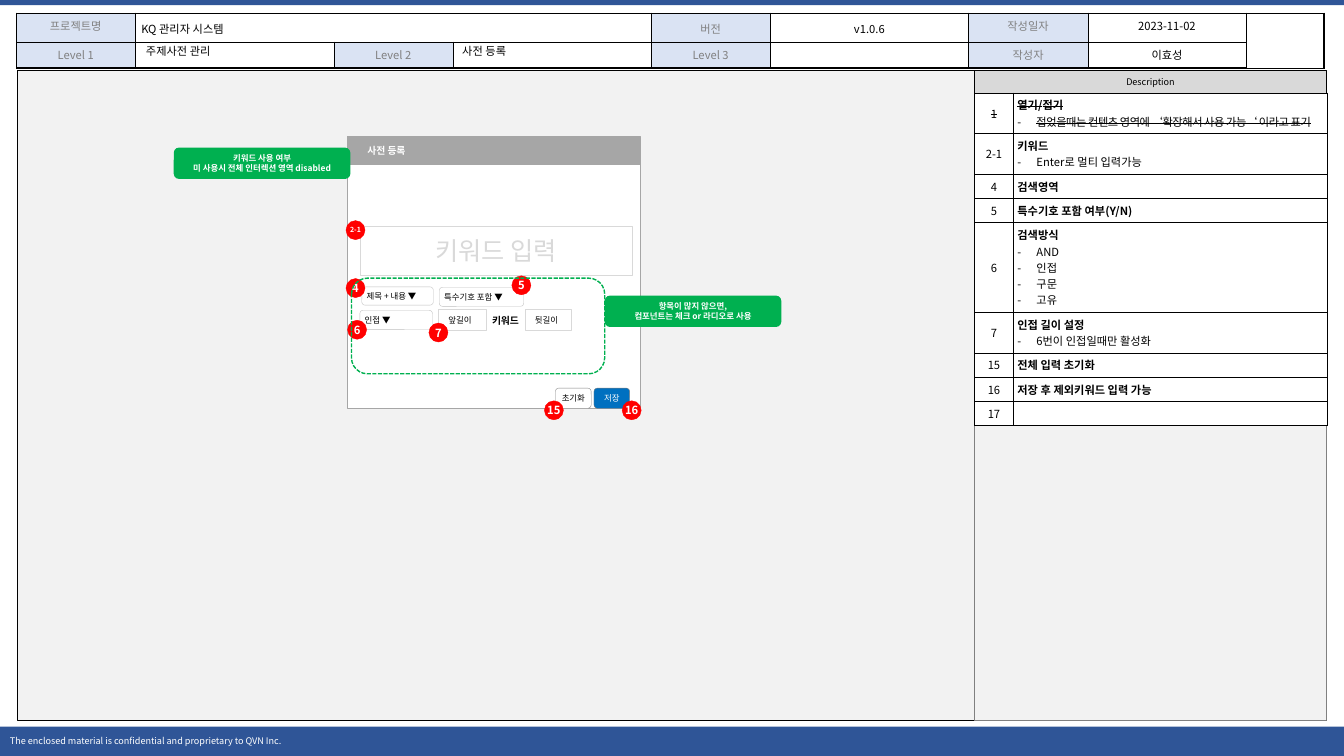
from lxml import etree
from pptx import Presentation
from pptx import util as u
from pptx.dml.color import RGBColor
from pptx.enum import dml, shapes, text
from pptx.oxml.ns import qn

FONT = "Noto Sans CJK KR"
LEFT, CENTER = text.PP_ALIGN.LEFT, text.PP_ALIGN.CENTER
TOP, MIDDLE = text.MSO_ANCHOR.TOP, text.MSO_ANCHOR.MIDDLE
RECT, ROUND, OVAL = (shapes.MSO_SHAPE.RECTANGLE, shapes.MSO_SHAPE.ROUNDED_RECTANGLE,
                     shapes.MSO_SHAPE.OVAL)
color = RGBColor.from_string

presentation = Presentation()
presentation.slide_width, presentation.slide_height = u.Cm(33.87), u.Cm(19.05)
slide = presentation.slides.add_slide(presentation.slide_layouts[6])


def write(holder, lines, size=8, ink="000000", bold=False, align=LEFT,
          anchor=MIDDLE, side=0.0, edge=0.0):
    """Fill a table cell or text frame; side and edge are its insets in cm."""
    settings = {"vertical_anchor": anchor, "word_wrap": True,
                "margin_left": u.Cm(side), "margin_right": u.Cm(side),
                "margin_top": u.Cm(edge), "margin_bottom": u.Cm(edge)}
    frame = getattr(holder, "text_frame", holder)
    for name, value in settings.items():
        if hasattr(holder, name):
            setattr(holder, name, value)
    frame.text = "\n".join(lines)
    for paragraph in frame.paragraphs:
        paragraph.alignment = align
        for run in paragraph.runs:
            for name, value in {"name": FONT, "size": u.Pt(size), "bold": bold}.items():
                setattr(run.font, name, value)
            run.font.color.rgb = color(ink)
        if not paragraph.runs:
            etree.SubElement(paragraph._p, qn("a:endParaRPr"), sz=str(size * 100))


def add_block(kind, box, fill=None, line=None, lines=(), **style):
    shape = slide.shapes.add_shape(kind, *map(u.Cm, box))
    shape.shadow.inherit = False
    if fill:
        shape.fill.solid()
        shape.fill.fore_color.rgb = color(fill)
    else:
        shape.fill.background()
    if line:
        shape.line.color.rgb = color(line)
        shape.line.width = u.Pt(0.25)
    else:
        shape.line.fill.background()
    if lines:
        write(shape.text_frame, lines, **style)
    return shape


# Page frame
add_block(RECT, (0, 0, 33.87, 0.13), "2F5597")
add_block(RECT, (0, 18.31, 33.87, 0.74), "2F5597",
          lines=["The enclosed material is confidential and proprietary to QVN Inc."],
          size=6.5, ink="FFFFFF", side=0.25)

# Header table
header_rows = [
    ["프로젝트명", "KQ 관리자 시스템", "", "", "버전", "v1.0.6", "작성일자", "2023-11-02", ""],
    ["Level 1", "", "Level 2", "", "Level 3", "", "작성자", "이효성", ""],
]
header_widths = [3, 5, 3, 5, 3, 5, 3, 4, 1.95]
header = slide.shapes.add_table(2, 9, u.Cm(0.41), u.Cm(0.32), u.Cm(sum(header_widths)),
                                u.Cm(1.4)).table
header.rows[0].height, header.rows[1].height = u.Cm(0.73), u.Cm(0.66)
for column, width in enumerate(header_widths):
    header.columns[column].width = u.Cm(width)
    for row, entries in enumerate(header_rows):
        cell = header.cell(row, column)
        is_label = column in (0, 2, 4, 6) and entries[column] != ""
        write(cell, [entries[column]], ink="808080" if is_label else "000000",
              align=LEFT if column == 1 else CENTER, anchor=TOP, side=0.15, edge=0.12)
        cell.fill.solid()
        cell.fill.fore_color.rgb = color("DAE3F3" if is_label else "FFFFFF")
for column in (1, 4, 5):
    header.cell(0, column).text_frame.paragraphs[0].line_spacing = 1.2
header.cell(0, 1).merge(header.cell(0, 3))
header.cell(0, 8).merge(header.cell(1, 8))

# Canvas and description panel
add_block(RECT, (0.43, 1.78, 33, 16.36), "F2F2F2", "000000")
add_block(RECT, (24.56, 1.78, 8.87, 16.36), line="808080")
add_block(RECT, (24.56, 1.78, 8.87, 0.56), "D9D9D9", "000000", ["Description"],
          size=6.5, align=CENTER)

descriptions = [
    ("1", ["열기/접기", "접었을때는 컨텐츠 영역에 ‘확장해서 사용 가능‘ 이라고 표기"]),
    ("2-1", ["키워드", "Enter로 멀티 입력가능"]),
    ("4", ["검색영역"]),
    ("5", ["특수기호 포함 여부(Y/N)"]),
    ("6", ["검색방식", "AND", "인접", "구문", "고유"]),
    ("7", ["인접 길이 설정", "6번이 인접일때만 활성화"]),
    ("15", ["전체 입력 초기화"]),
    ("16", ["저장 후 제외키워드 입력 가능"]),
    ("17", [""]),
]
description = slide.shapes.add_table(len(descriptions), 2, u.Cm(24.56), u.Cm(2.34),
                                     u.Cm(8.88), u.Cm(7.92)).table
description.columns[0].width, description.columns[1].width = u.Cm(0.98), u.Cm(7.9)
for row, (number, lines) in enumerate(descriptions):
    description.rows[row].height = u.Cm(0.61 + 0.41 * (len(lines) - 1))
    number_cell, note_cell = description.cell(row, 0), description.cell(row, 1)
    write(number_cell, [number], align=CENTER, side=0.1, edge=0.1)
    write(note_cell, lines, bold=True, side=0.1, edge=0.1)
    for paragraph in note_cell.text_frame.paragraphs[1:]:
        paragraph.runs[0].font.bold = False
        properties = paragraph._p.get_or_add_pPr()
        properties.set("marL", str(u.Cm(0.48)))
        properties.set("indent", str(u.Cm(-0.48)))
        etree.SubElement(properties, qn("a:buFont"), typeface=FONT)
        etree.SubElement(properties, qn("a:buChar"), char="-")
    for cell in (number_cell, note_cell):
        cell.fill.solid()
        cell.fill.fore_color.rgb = color("FFFFFF")
for cell in description.rows[0].cells:
    for paragraph in cell.text_frame.paragraphs:
        paragraph.runs[0].font._element.set("strike", "sngStrike")
# Tighter letters keep the long struck-out line on one row
long_line = description.cell(0, 1).text_frame.paragraphs[1].runs[0]
long_line.font._element.set("spc", "-30")

# Borders of both tables; the header has a heavier right and bottom edge
for table, outer_width in ((header, 1.5), (description, 0.25)):
    table.first_row = table.horz_banding = False
    last_row, last_column = len(table.rows) - 1, len(table.columns) - 1
    for row in range(last_row + 1):
        for column in range(last_column + 1):
            cell_properties = table.cell(row, column)._tc.get_or_add_tcPr()
            outer = {"lnR": column == last_column, "lnB": row == last_row}
            for position, side in enumerate(("lnL", "lnR", "lnT", "lnB")):
                width = outer_width if outer.get(side) else 0.25
                border = etree.Element(qn("a:" + side), w=str(u.Pt(width)))
                fill = etree.SubElement(border, qn("a:solidFill"))
                etree.SubElement(fill, qn("a:srgbClr"), val="000000")
                cell_properties.insert(position, border)

# Dialog
add_block(RECT, (8.76, 4.11, 7.37, 6.17), "FFFFFF", "A6A6A6")
add_block(RECT, (8.76, 3.43, 7.37, 0.71), "A6A6A6", "A6A6A6", ["사전 등록"],
          size=7, ink="FFFFFF", bold=True, side=0.5)
add_block(RECT, (9.07, 5.7, 6.87, 1.24), "FFFFFF", "D9D9D9", ["키워드 입력"],
          size=18, ink="D9D9D9", align=CENTER)

for kind, box, line, label, inset in [
    (ROUND, (9.12, 7.23, 1.8, 0.46), "BFBFBF", "제목 + 내용 ▼", 0.1),
    (ROUND, (9.07, 7.82, 1.83, 0.48), "BFBFBF", "인접 ▼", 0.1),
    (ROUND, (11.07, 7.24, 2.13, 0.48), "BFBFBF", "특수기호 포함 ▼", 0.1),
    (RECT, (11.05, 7.8, 1.2, 0.53), "D9D9D9", "앞길이", 0.25),
    (RECT, (13.23, 7.8, 1.17, 0.53), "D9D9D9", "뒷길이", 0.25),
]:
    add_block(kind, box, "FFFFFF", line, [label], size=6, side=inset)

for left, fill, ink, label in [(14.97, "0070C0", "FFFFFF", "저장"),
                               (14, "FFFFFF", "000000", "초기화")]:
    add_block(ROUND, (left, 9.78, 0.9, 0.51), fill, "808080", [label],
              size=6, ink=ink, align=CENTER)

# Plain text: keyword label and the two header levels
for box, label, style in [
    ((12.15, 7.8, 1.27, 0.56), "키워드", {"size": 7, "bold": True}),
    ((3.43, 0.97, 5, 0.61), "주제사전 관리", {}),
    ((11.4, 0.97, 5, 0.61), "사전 등록", {}),
]:
    text_box = slide.shapes.add_textbox(*map(u.Cm, box))
    write(text_box.text_frame, [label], side=0.25, **style)

# Numbered badges
for number, left, top in [("4", 8.72, 7.02), ("5", 12.9, 6.95), ("6", 8.76, 8.07),
                          ("7", 10.81, 8.14), ("2-1", 8.72, 5.56),
                          ("15", 13.72, 10.1), ("16", 15.68, 10.1)]:
    add_block(OVAL, (left, top, 0.48, 0.48), "FF0000", "FF0000", [number],
              size=5 if len(number) > 2 else 8, ink="FFFFFF", bold=True, align=CENTER)

# Highlighted search area and its notes
search_area = add_block(ROUND, (8.86, 7.01, 6.38, 2.41), line="00B050")
search_area.line.width = u.Pt(1)
search_area.line.dash_style = dml.MSO_LINE.SQUARE_DOT
for left, top, lines in [
    (15.24, 7.45, ["항목이 많지 않으면,", "컴포넌트는 체크 or 라디오로 사용"]),
    (4.38, 3.72, ["키워드 사용 여부", "미 사용시 전체 인터렉션 영역 disabled"]),
]:
    add_block(ROUND, (left, top, 4.45, 0.79), "00B050", lines=lines,
              size=6, ink="FFFFFF", bold=True, align=CENTER)

presentation.save("out.pptx")
